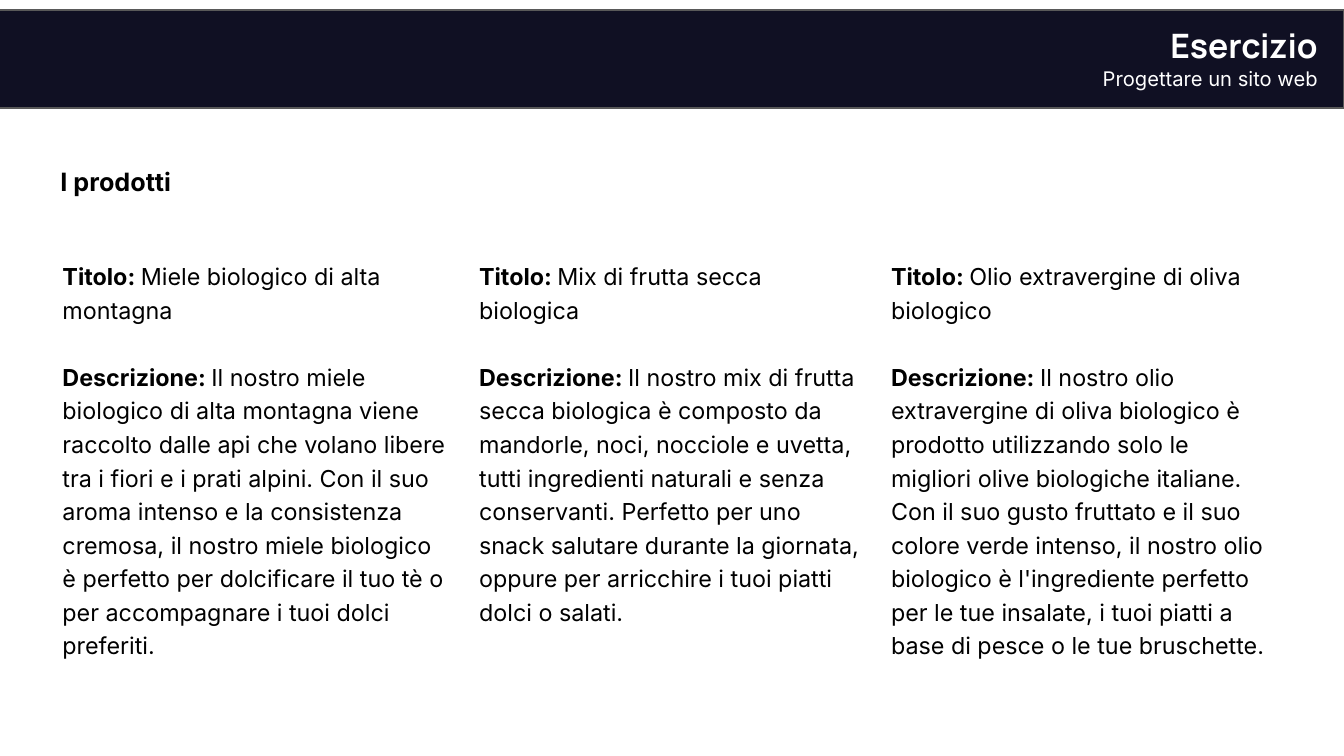
from pptx import Presentation
from pptx.dml.color import RGBColor
from pptx.enum import shapes, text
from pptx.util import Inches, Pt

NAVY, GREY, WHITE, BLACK = "101023", "595959", "FFFFFF", "000000"
LINE_SPACING = 1.2

TITLE = "Esercizio"
SUBTITLE = "Progettare un sito web"
HEADING = "I prodotti"
PRODUCTS = [
    (0.93, "Miele biologico di alta montagna",
     "Il nostro miele biologico di alta montagna viene raccolto dalle api che "
     "volano libere tra i fiori e i prati alpini. Con il suo aroma intenso e la "
     "consistenza cremosa, il nostro miele biologico è perfetto per dolcificare "
     "il tuo tè o per accompagnare i tuoi dolci preferiti."),
    (7.13, "Mix di frutta secca biologica",
     "Il nostro mix di frutta secca biologica è composto da mandorle, noci, "
     "nocciole e uvetta, tutti ingredienti naturali e senza conservanti. "
     "Perfetto per uno snack salutare durante la giornata, oppure per "
     "arricchire i tuoi piatti dolci o salati."),
    (13.26, "Olio extravergine di oliva biologico",
     "Il nostro olio extravergine di oliva biologico è prodotto utilizzando solo "
     "le migliori olive biologiche italiane. Con il suo gusto fruttato e il suo "
     "colore verde intenso, il nostro olio biologico è l'ingrediente perfetto "
     "per le tue insalate, i tuoi piatti a base di pesce o le tue bruschette."),
]


def color(hex_code):
    return RGBColor.from_string(hex_code)


def place(box, left, top, width, height):
    box.left, box.top, box.width, box.height = map(Inches, (left, top, width, height))


def write(box, paragraphs, size, font="Inter", ink=BLACK, align="LEFT", gap=0):
    """Fill box with paragraphs, each a list of (words, bold) spans."""
    frame = box.text_frame
    settings = dict(word_wrap=True, auto_size=text.MSO_AUTO_SIZE.NONE,
                    vertical_anchor=text.MSO_ANCHOR.TOP, margin_left=0,
                    margin_right=0, margin_top=0, margin_bottom=0)
    for name, value in settings.items():
        setattr(frame, name, value)
    for index, spans in enumerate(paragraphs):
        para = frame.add_paragraph() if index else frame.paragraphs[0]
        para.alignment = text.PP_ALIGN[align]
        para.line_spacing = LINE_SPACING
        para.space_before = Pt(gap if index else 0)
        for words, bold in spans:
            span = para.add_run()
            span.text = words
            for name, value in dict(name=font, size=Pt(size), bold=bold).items():
                setattr(span.font, name, value)
            span.font.color.rgb = color(ink)


def add_text(page, area, paragraphs, size, **style):
    box = page.shapes.add_textbox(*map(Inches, area))
    write(box, paragraphs, size, **style)


def main():
    deck = Presentation()
    deck.slide_width, deck.slide_height = Inches(20), Inches(11.25)
    page = deck.slides.add_slide(deck.slide_layouts[5])

    band = page.shapes.add_shape(
        shapes.MSO_SHAPE.RECTANGLE, *map(Inches, (-0.03, 0.15, 20.03, 1.46)))
    band.shadow.inherit = False
    band.fill.solid()
    band.fill.fore_color.rgb = color(NAVY)
    band.line.color.rgb = color(GREY)
    band.line.width = Pt(1.5)

    title = page.shapes.title
    title._element.addprevious(band._element)  # the band lies behind the title
    place(title, 6.76, 0.25, 12.85, 0.61)
    write(title, [[(TITLE, True)]], 36, font="Manrope", ink=WHITE, align="RIGHT")
    add_text(page, (9.23, 0.92, 10.38, 0.36), [[(SUBTITLE, False)]], 21.6,
             ink=WHITE, align="RIGHT")
    add_text(page, (0.9, 2.38, 18.2, 0.6), [[(HEADING, True)]], 27)

    for left, name, description in PRODUCTS:
        paragraphs = [[("Titolo: ", True), (name, False)],
                      [("Descrizione: ", True), (description, False)]]
        add_text(page, (left, 3.82, 5.71, 6.5), paragraphs, 25, gap=36)

    deck.save("out.pptx")


if __name__ == "__main__":
    main()
